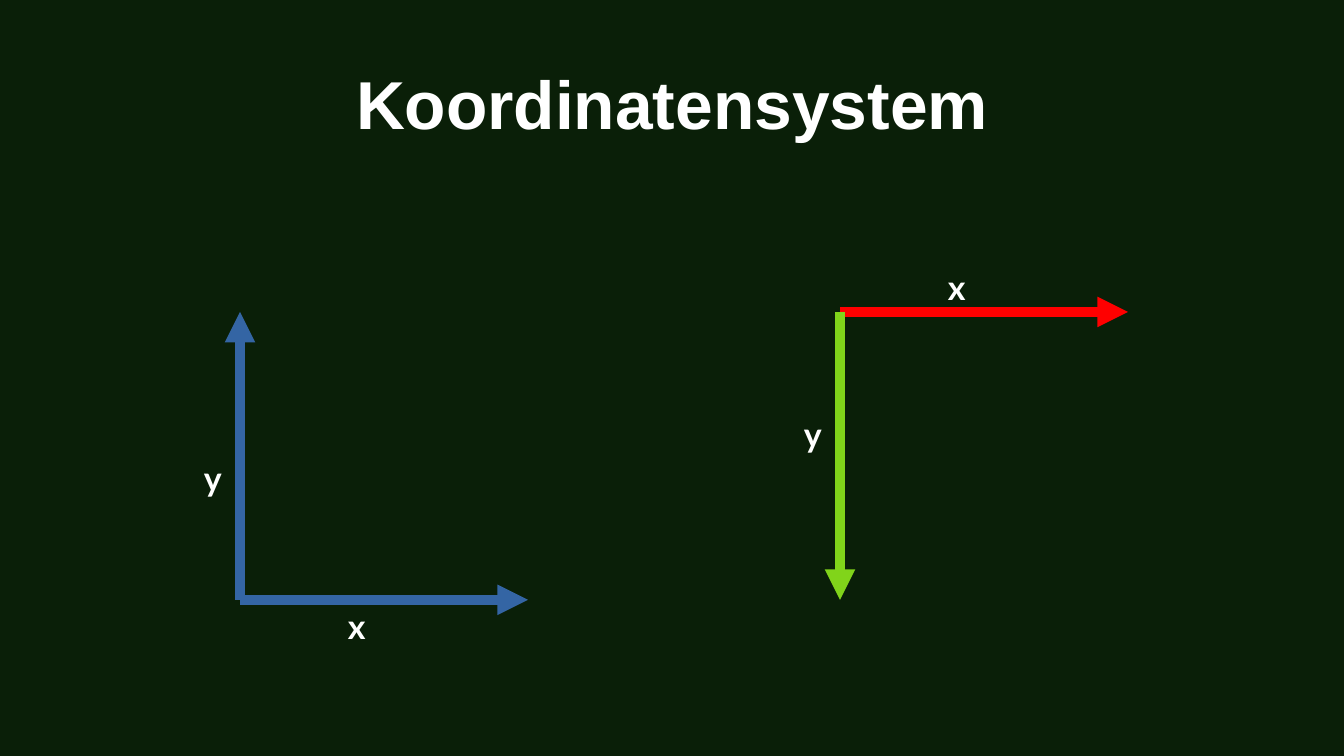
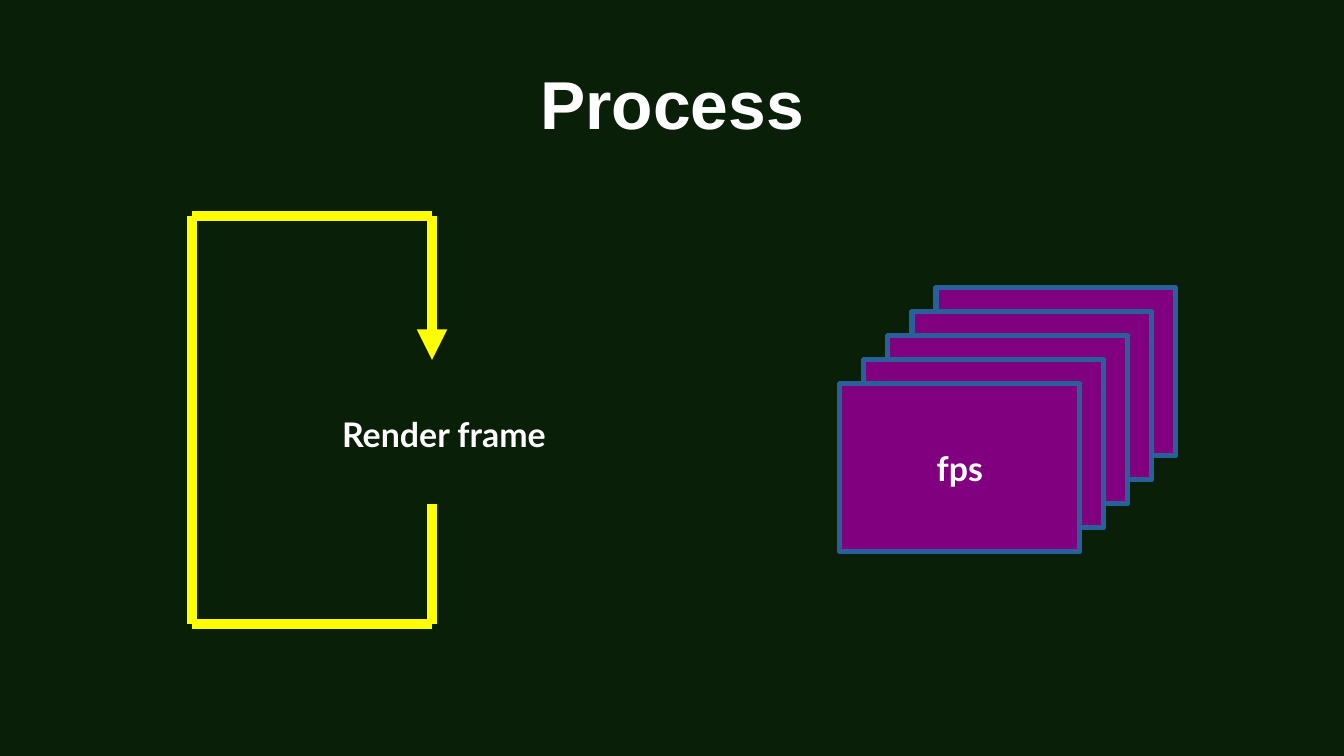
from dataclasses import dataclass
from itertools import pairwise

from lxml import etree
from pptx import Presentation
from pptx.dml.color import RGBColor
from pptx.enum.shapes import MSO_CONNECTOR, MSO_SHAPE
from pptx.enum.text import MSO_ANCHOR, PP_ALIGN
from pptx.oxml.ns import qn
from pptx.presentation import Presentation as Deck
from pptx.slide import Slide
from pptx.text.text import TextFrame
from pptx.util import Emu, Inches, Pt

STRAIGHT = MSO_CONNECTOR.STRAIGHT
RECTANGLE = MSO_SHAPE.RECTANGLE
TOP, MIDDLE = MSO_ANCHOR.TOP, MSO_ANCHOR.MIDDLE
LEFT, CENTER = PP_ALIGN.LEFT, PP_ALIGN.CENTER
TITLE_ONLY = 5

SLIDE_W, SLIDE_H = Inches(11.02), Inches(6.2)
COLUMNS = 28
UNIT = SLIDE_W / COLUMNS


@dataclass(frozen=True)
class Theme:
    background: str = "0A1F08"
    text: str = "FFFFFF"
    math_axis: str = "3465A4"
    screen_x: str = "FF0000"
    screen_y: str = "81D41A"
    loop: str = "FFFF00"
    frame_fill: str = "800080"
    frame_line: str = "2A6099"
    title_font: str = "Arial"
    body_font: str = "Lato"
    title_size: int = 40
    body_size: int = 20
    arrow_width: int = 6
    frame_width: int = 3


@dataclass(frozen=True)
class Point:
    col: float
    row: float


@dataclass(frozen=True)
class Box:
    col: float
    row: float
    cols: float
    rows: float


@dataclass(frozen=True)
class Arrow:
    start: Point
    end: Point
    color: str
    head: bool = True


@dataclass(frozen=True)
class Label:
    text: str
    box: Box
    align: PP_ALIGN = LEFT


THEME = Theme()
TITLE_BOX = Box(1.4, 1, 25.2, 2.26)
AXIS_LENGTH = 7.3 / 1.2166
AXIS_LENGTH = 6
LABEL_SIZE = (1, 1.22)

MATH_ORIGIN = Point(5, 12.5)
SCREEN_ORIGIN = Point(17.5, 6.5)
AXES = (
    Arrow(MATH_ORIGIN, Point(11, 12.5), THEME.math_axis),
    Arrow(MATH_ORIGIN, Point(5, 6.5), THEME.math_axis),
    Arrow(SCREEN_ORIGIN, Point(23.5, 6.5), THEME.screen_x),
    Arrow(SCREEN_ORIGIN, Point(17.5, 12.5), THEME.screen_y),
)
AXIS_LABELS = (
    Label("y", Box(16.5, 8.5, *LABEL_SIZE)),
    Label("x", Box(19.5, 5.44, *LABEL_SIZE)),
    Label("x", Box(7, 12.5, *LABEL_SIZE)),
    Label("y", Box(4, 9.42, *LABEL_SIZE)),
)

LOOP = (
    Point(9, 10.5),
    Point(9, 13),
    Point(4, 13),
    Point(4, 4.5),
    Point(9, 4.5),
    Point(9, 7.5),
)
LOOP_LABEL = Label("Render frame", Box(6, 8.5, 6.5, 1.5), CENTER)
FRAME_COUNT = 5
FRAME_STEP = 0.5
BACK_FRAME = Box(19.5, 6, 5, 3.5)


def grid(units: float) -> Emu:
    return Emu(round(units * UNIT))


def place(box: Box) -> tuple[Emu, Emu, Emu, Emu]:
    return grid(box.col), grid(box.row), grid(box.cols), grid(box.rows)


def rgb(color: str) -> RGBColor:
    return RGBColor.from_string(color)


def write(tf: TextFrame, text: str, font: str, size: int, align: PP_ALIGN,
          anchor: MSO_ANCHOR, inset_x: float = 0.1, inset_y: float = 0.05) -> None:
    tf.text = text
    tf.word_wrap = True
    tf.vertical_anchor = anchor
    tf.margin_left = tf.margin_right = Inches(inset_x)
    tf.margin_top = tf.margin_bottom = Inches(inset_y)
    p = tf.paragraphs[0]
    p.alignment = align
    r = p.runs[0]
    r.font.name = font
    r.font.size = Pt(size)
    r.font.bold = True
    r.font.color.rgb = rgb(THEME.text)


def add_slide(prs: Deck, title: str) -> Slide:
    s = prs.slides.add_slide(prs.slide_layouts[TITLE_ONLY])
    sp = s.shapes.title
    sp.left, sp.top, sp.width, sp.height = place(TITLE_BOX)
    write(sp.text_frame, title, THEME.title_font, THEME.title_size, CENTER, MIDDLE, 0, 0)
    return s


def add_arrow(s: Slide, arrow: Arrow) -> None:
    sp = s.shapes.add_connector(
        STRAIGHT,
        grid(arrow.start.col), grid(arrow.start.row),
        grid(arrow.end.col), grid(arrow.end.row),
    )
    sp.line.color.rgb = rgb(arrow.color)
    sp.line.width = Pt(THEME.arrow_width)
    properties = sp.element.spPr
    if arrow.head:
        line = properties.find(qn("a:ln"))
        etree.SubElement(line, qn("a:tailEnd"), type="triangle")
    etree.SubElement(properties, qn("a:effectLst"))


def add_label(s: Slide, label: Label) -> None:
    sp = s.shapes.add_textbox(*place(label.box))
    write(sp.text_frame, label.text, THEME.body_font, THEME.body_size, label.align, TOP)


def add_frame(s: Slide, box: Box, text: str = "") -> None:
    sp = s.shapes.add_shape(RECTANGLE, *place(box))
    sp.shadow.inherit = False
    sp.fill.solid()
    sp.fill.fore_color.rgb = rgb(THEME.frame_fill)
    sp.line.color.rgb = rgb(THEME.frame_line)
    sp.line.width = Pt(THEME.frame_width)
    if text:
        write(sp.text_frame, text, THEME.body_font, THEME.body_size,
              CENTER, MIDDLE, 0.12, 0.07)


def build_coordinates(prs: Deck) -> None:
    s = add_slide(prs, "Koordinatensystem")
    for axis in AXES:
        add_arrow(s, axis)
    for label in AXIS_LABELS:
        add_label(s, label)


def build_process(prs: Deck) -> None:
    s = add_slide(prs, "Process")
    for i in range(FRAME_COUNT):
        shift = i * FRAME_STEP
        box = Box(BACK_FRAME.col - shift, BACK_FRAME.row + shift,
                  BACK_FRAME.cols, BACK_FRAME.rows)
        add_frame(s, box, "fps" if i == FRAME_COUNT - 1 else "")
    for start, end in pairwise(LOOP):
        add_arrow(s, Arrow(start, end, THEME.loop, head=end == LOOP[-1]))
    add_label(s, LOOP_LABEL)


def main() -> None:
    prs = Presentation()
    prs.slide_width, prs.slide_height = SLIDE_W, SLIDE_H
    fill = prs.slide_master.background.fill
    fill.solid()
    fill.fore_color.rgb = rgb(THEME.background)
    build_coordinates(prs)
    build_process(prs)
    prs.save("out.pptx")


if __name__ == "__main__":
    main()
